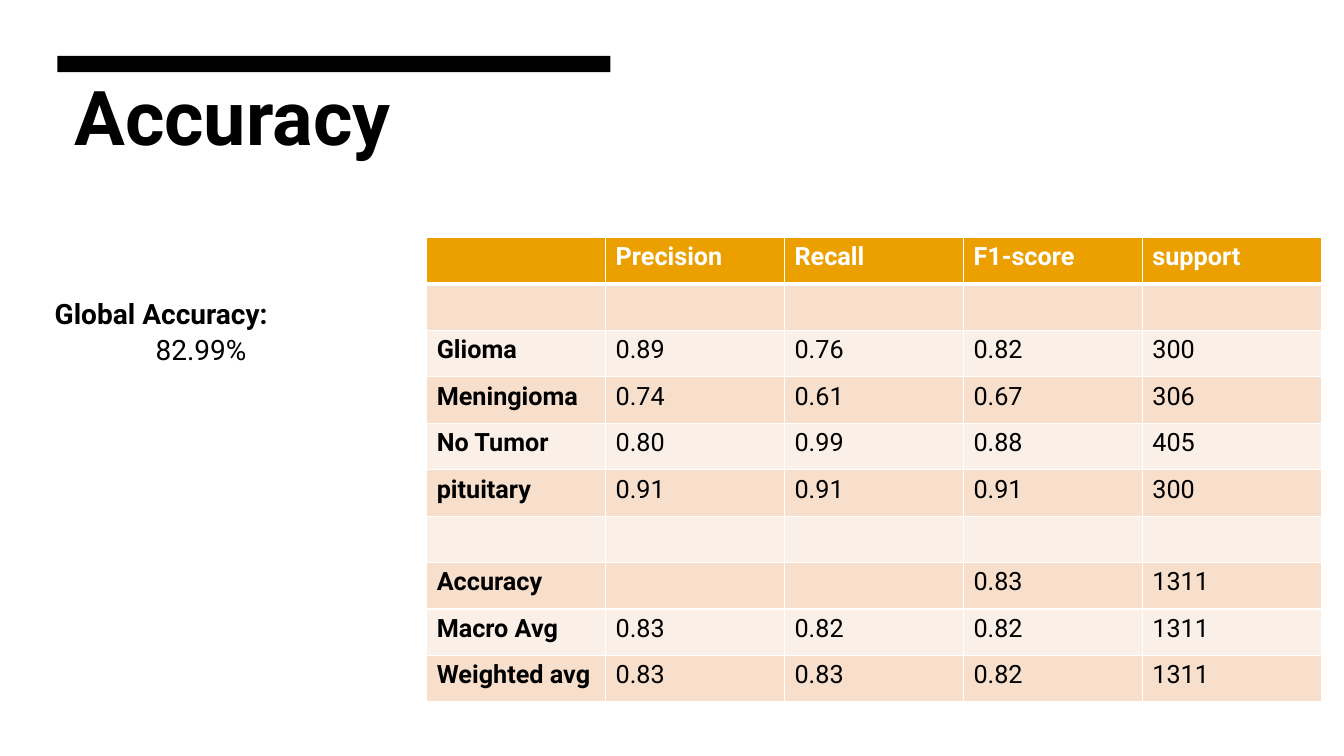
import pptx
import pptx.dml.color
import pptx.enum.shapes
import pptx.oxml.ns
import pptx.util
from lxml import etree

Pt = pptx.util.Pt

FONT = "Roboto"
COLORS = {
    "ink": "000000",
    "paper": "FFFFFF",
    "header": "EBA000",
    "dark_band": "F7DFCC",
    "light_band": "FBF0E7",
}
SCORES = [
    ["", "Precision", "Recall", "F1-score", "support"],
    [""] * 5,
    ["Glioma", "0.89", "0.76", "0.82", "300"],
    ["Meningioma", "0.74", "0.61", "0.67", "306"],
    ["No Tumor", "0.80", "0.99", "0.88", "405"],
    ["pituitary", "0.91", "0.91", "0.91", "300"],
    [""] * 5,
    ["Accuracy", "", "", "0.83", "1311"],
    ["Macro Avg", "0.83", "0.82", "0.82", "1311"],
    ["Weighted avg", "0.83", "0.83", "0.82", "1311"],
]


def rgb(name):
    return pptx.dml.color.RGBColor.from_string(COLORS[name])


def write(paragraph, text, size=18, color="ink", bold=False, indent=0, spacing=None):
    paragraph.text = text
    if indent:
        paragraph._p.get_or_add_pPr().set("marL", str(Pt(indent)))
    if spacing:
        paragraph.line_spacing = spacing
    font = paragraph.font if not text else paragraph.runs[0].font
    font.name = FONT
    font.size = Pt(size)
    font.bold = bold
    font.color.rgb = rgb(color)


def add_text_frame(slide, left, top, width, height):
    box = slide.shapes.add_textbox(Pt(left), Pt(top), Pt(width), Pt(height))
    box.text_frame.word_wrap = True
    return box.text_frame


def add_heading(slide, left, top, width):
    """Black bar with the slide title below it."""
    bar = slide.shapes.add_shape(
        pptx.enum.shapes.MSO_SHAPE.RECTANGLE, Pt(left), Pt(top), Pt(width), Pt(11.5))
    bar.shadow.inherit = False
    bar.fill.solid()
    bar.fill.fore_color.rgb = rgb("ink")
    bar.line.fill.background()
    frame = add_text_frame(slide, left + 5, top + 6.5, width, 72)
    write(frame.paragraphs[0], "Accuracy", size=54, bold=True)


def add_global_accuracy(slide, left, top, width, height):
    frame = add_text_frame(slide, left, top, width, height)
    write(frame.paragraphs[0], "Global Accuracy:", size=20, bold=True, spacing=1.1)
    write(frame.add_paragraph(), "82.99%", size=20, indent=72, spacing=1.1)


def set_borders(cell, bottom=1, top=1):
    """White cell borders; fill must be set afterwards to keep element order."""
    properties = cell._tc.get_or_add_tcPr()
    for tag, width in (("a:lnL", 1), ("a:lnR", 1), ("a:lnT", top), ("a:lnB", bottom)):
        line = etree.SubElement(properties, pptx.oxml.ns.qn(tag), w=str(Pt(width)))
        fill = etree.SubElement(line, pptx.oxml.ns.qn("a:solidFill"))
        etree.SubElement(fill, pptx.oxml.ns.qn("a:srgbClr"), val=COLORS["paper"])


def add_scores_table(slide, left, top, width, height):
    table = slide.shapes.add_table(
        len(SCORES), len(SCORES[0]), Pt(left), Pt(top), Pt(width), Pt(height)).table
    for row in table.rows:
        row.height = Pt(height / len(SCORES))
    for row_index, values in enumerate(SCORES):
        is_header = row_index == 0
        band = "header" if is_header else ("light_band", "dark_band")[row_index % 2]
        for column_index, value in enumerate(values):
            cell = table.cell(row_index, column_index)
            set_borders(cell, bottom=3 if is_header else 1, top=3 if row_index == 1 else 1)
            cell.fill.solid()
            cell.fill.fore_color.rgb = rgb(band)
            write(cell.text_frame.paragraphs[0], value,
                  color="paper" if is_header else "ink",
                  bold=is_header or column_index == 0)


def main():
    presentation = pptx.Presentation()
    presentation.slide_width = Pt(960)
    presentation.slide_height = Pt(540)
    slide = presentation.slides.add_slide(presentation.slide_layouts[6])
    add_heading(slide, left=41, top=40, width=395)
    add_global_accuracy(slide, left=32, top=205.5, width=270, height=131)
    add_scores_table(slide, left=304.8, top=169.5, width=639, height=332)
    presentation.save("out.pptx")


if __name__ == "__main__":
    main()
